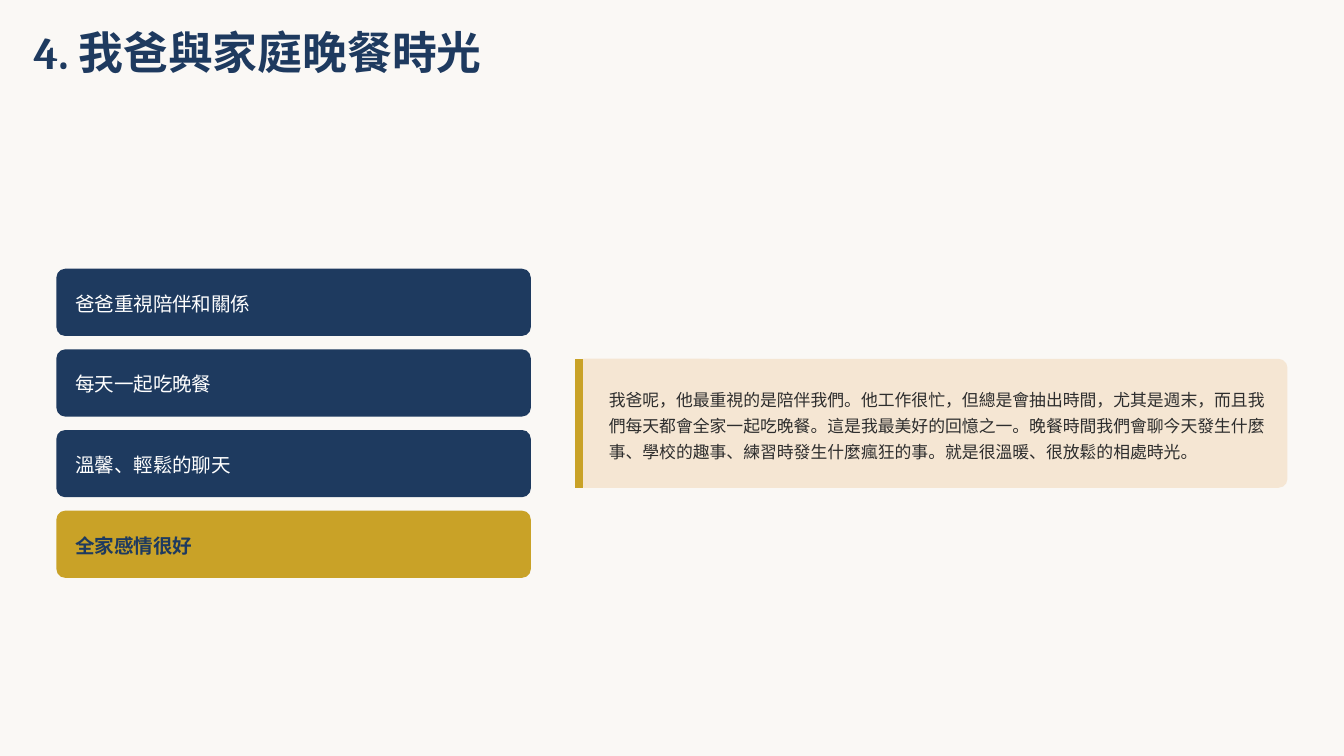
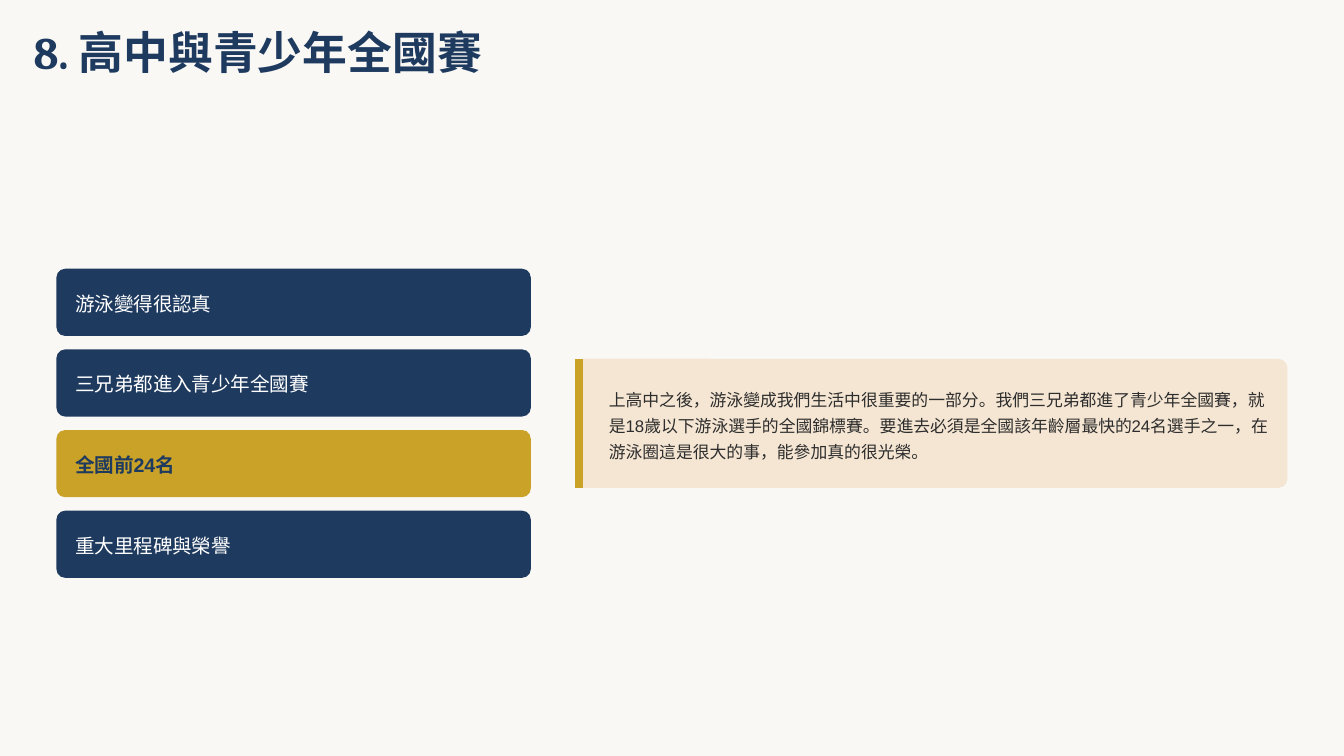
from pptx import Presentation
from pptx.dml.color import RGBColor as RGB
from pptx.enum.shapes import MSO_CONNECTOR as LINK, MSO_SHAPE as KIND
from pptx.oxml.ns import qn
from pptx.util import Inches as In, Pt
from lxml.etree import SubElement as Sub

HUE = {
    "page": "FAF8F5",
    "navy": "1E3A5F",
    "gold": "C9A227",
    "sand": "F5E6D3",
    "ink": "2D2D2D",
    "white": "FFFFFF",
}
LEFT, TOP = 0.42, 2
WIDE, HIGH, STEP = 3.53, 0.5, 0.6
PAD = 0.14
NOTE, MID, SPAN, TALL = 4.28, 3.15, 5.3, 0.96

TALKS = [
    (
        "4. 我爸與家庭晚餐時光",
        ["爸爸重視陪伴和關係", "每天一起吃晚餐", "溫馨、輕鬆的聊天", "全家感情很好"],
        3,
        "我爸呢，他最重視的是陪伴我們。他工作很忙，但總是會抽出時間，尤其是週末，"
        "而且我們每天都會全家一起吃晚餐。這是我最美好的回憶之一。"
        "晚餐時間我們會聊今天發生什麼事、學校的趣事、練習時發生什麼瘋狂的事。"
        "就是很溫暖、很放鬆的相處時光。",
    ),
    (
        "8. 高中與青少年全國賽",
        ["游泳變得很認真", "三兄弟都進入青少年全國賽", "全國前24名", "重大里程碑與榮譽"],
        2,
        "上高中之後，游泳變成我們生活中很重要的一部分。我們三兄弟都進了青少年全國賽，"
        "就是18歲以下游泳選手的全國錦標賽。要進去必須是全國該年齡層最快的24名選手之一，"
        "在游泳圈這是很大的事，能參加真的很光榮。",
    ),
]


def write(page, text, box, size, lead, hue, font="Arial", bold=False):
    frame = page.shapes.add_textbox(*map(In, box)).text_frame
    frame.word_wrap = True
    frame.margin_left = frame.margin_right = 0
    frame.margin_top = frame.margin_bottom = 0
    para = frame.paragraphs[0]
    para.line_spacing = Pt(lead)
    run = para.add_run()
    run.text = text
    run.font.name = font
    run.font.size = Pt(size)
    run.font.bold = bold
    run.font.color.rgb = RGB.from_string(HUE[hue])


def card(page, box, curve, hue):
    shape = page.shapes.add_shape(KIND.ROUNDED_RECTANGLE, *map(In, box))
    shape.adjustments[0] = curve
    shape.shadow.inherit = False
    shape.fill.solid()
    shape.fill.fore_color.rgb = RGB.from_string(HUE[hue])
    shape.line.fill.background()


deck = Presentation()
deck.slide_width = In(10)
deck.slide_height = deck.slide_width * 9 // 16

for title, points, key, story in TALKS:
    page = deck.slides.add_slide(deck.slide_layouts[6])
    page.background.fill.solid()
    page.background.fill.fore_color.rgb = RGB.from_string(HUE["page"])
    write(page, title, (0.25, 0.25, 4.86, 0.33), 24, 24, "navy", font="Cambria", bold=True)

    for row, point in enumerate(points):
        top = TOP + row * STEP
        main = row == key
        card(page, (LEFT, top, WIDE, HIGH), 0.13, "gold" if main else "navy")
        write(page, point, (LEFT + PAD, top + PAD, 3.31, 0.2), 10.5, 14.7,
              "navy" if main else "white", bold=main)

    top = MID - TALL / 2
    card(page, (NOTE, top, SPAN, TALL), 0.07, "sand")
    edge = NOTE + 0.03
    bar = page.shapes.add_connector(LINK.STRAIGHT, In(edge), In(top), In(edge), In(top + TALL))
    bar.line.color.rgb = RGB.from_string(HUE["gold"])
    bar.line.width = Pt(4.5)
    Sub(bar.element.spPr, qn("a:effectLst"))
    write(page, story, (NOTE + 0.25, top + 0.19, 4.96, 0.58), 9, 13.9, "ink")

deck.save("out.pptx")
